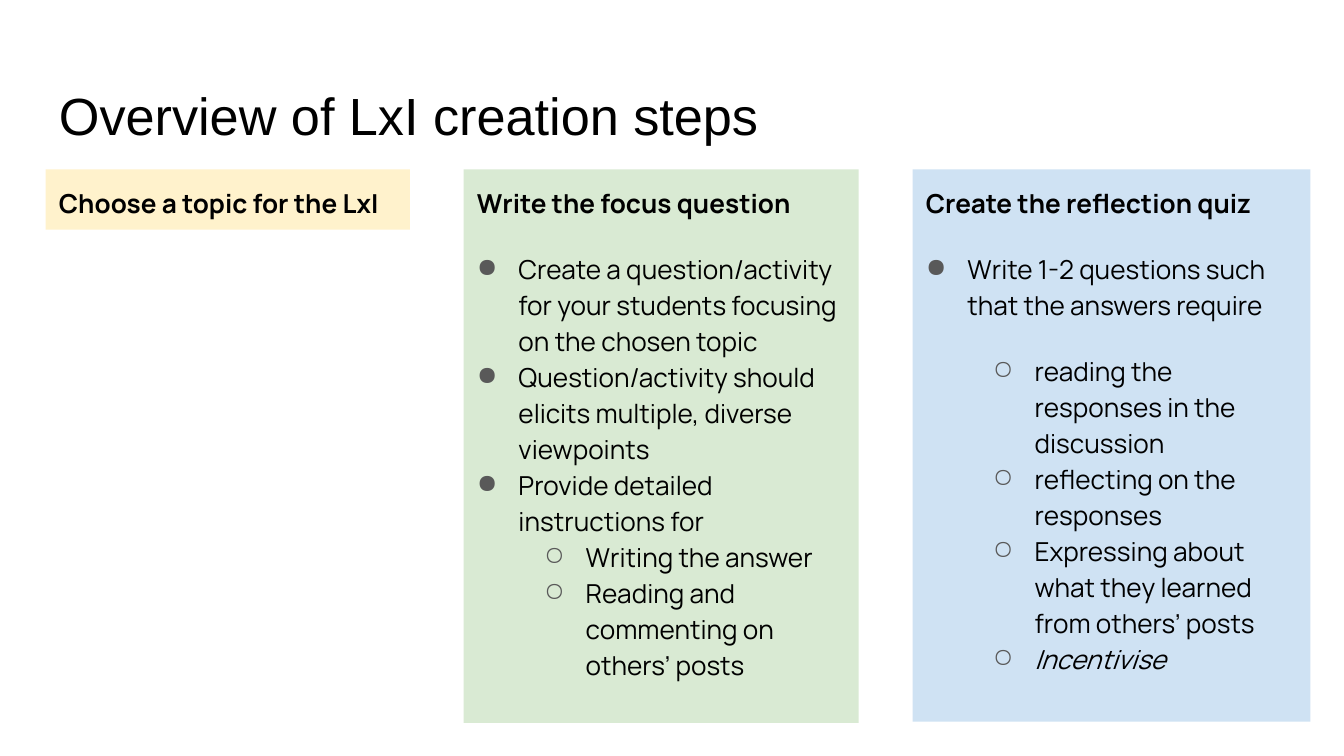
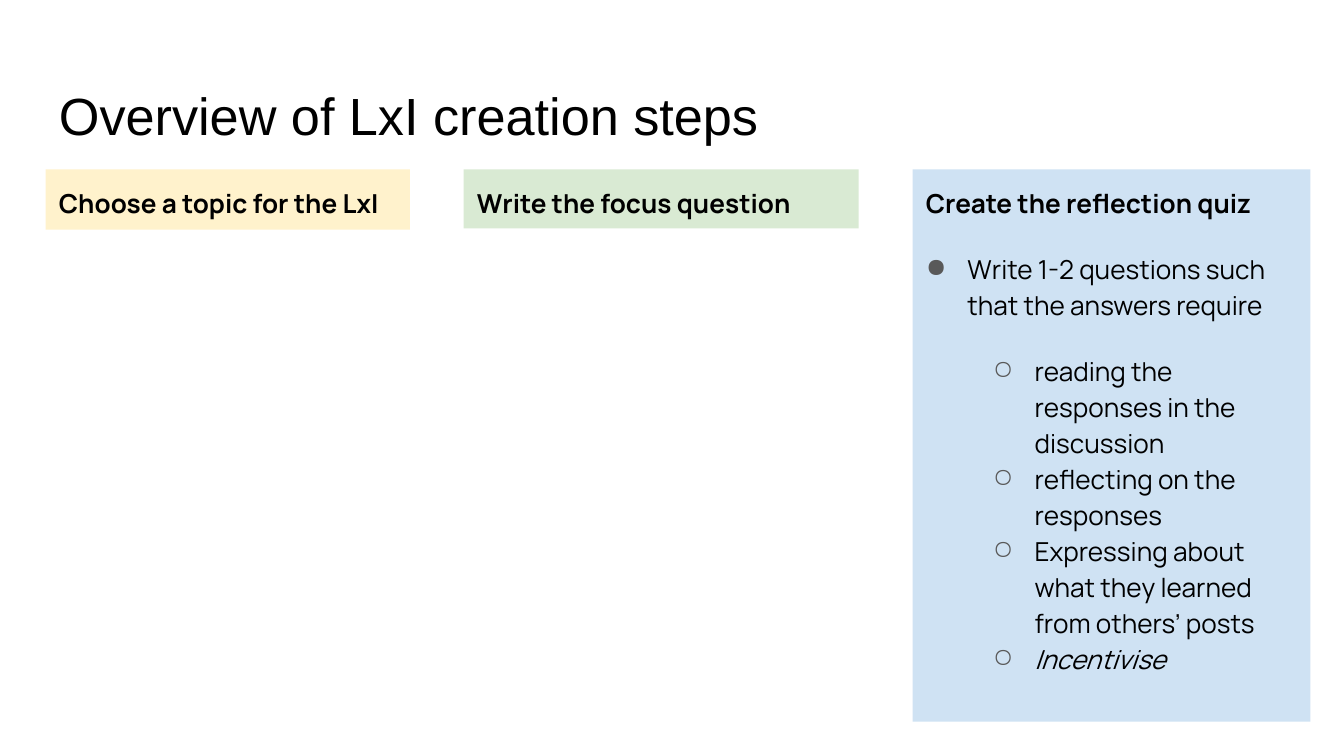
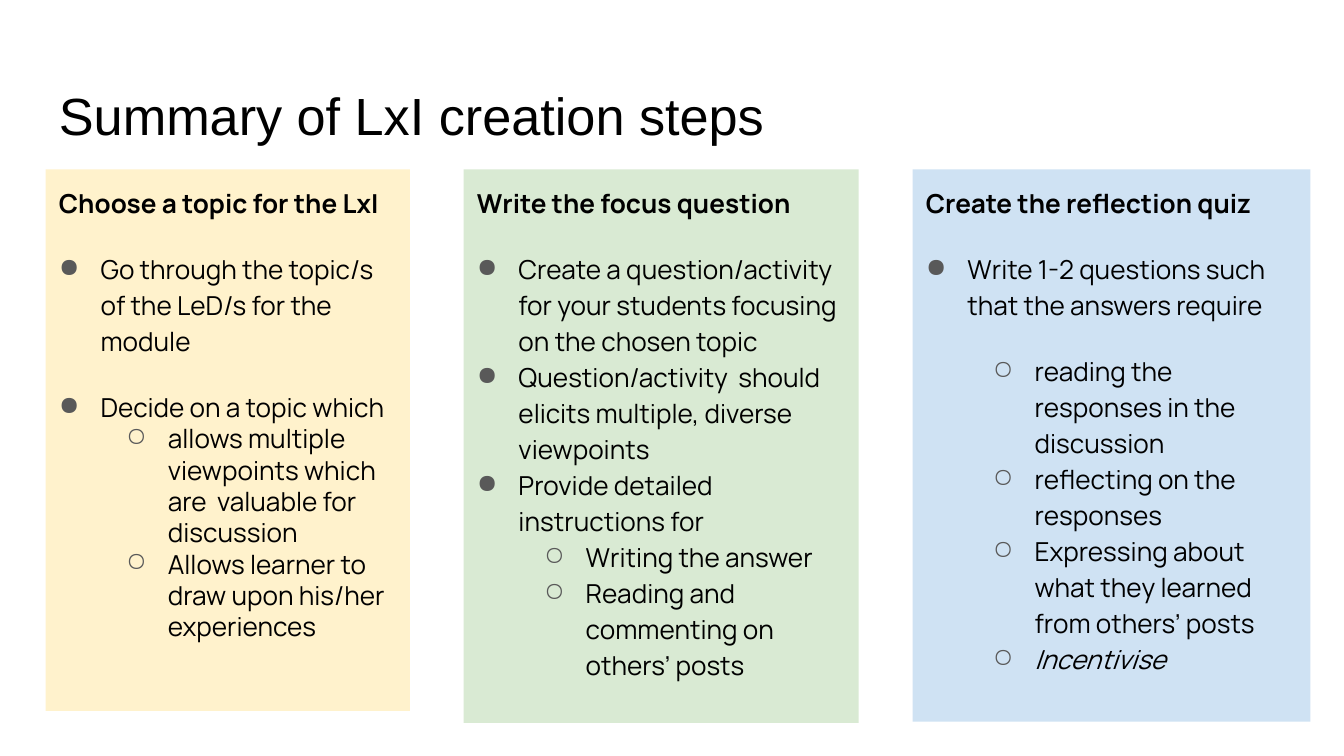
from dataclasses import dataclass

from lxml import etree
from pptx import Presentation
from pptx import util as u
from pptx.dml.color import RGBColor
from pptx.enum import shapes, text
from pptx.oxml import ns

PX = u.Inches(1) // 100
BLACK = RGBColor(0x00, 0x00, 0x00)
GREY = RGBColor(0x59, 0x59, 0x59)
YELLOW = RGBColor(0xFF, 0xF2, 0xCC)
GREEN = RGBColor(0xD9, 0xEA, 0xD3)
BLUE = RGBColor(0xCF, 0xE2, 0xF3)

LEFT, CARD_TOP, GAP = 34, 126, 40
BULLETS = "●○"
INDENTS = (31, 81)
HANGING = 31


@dataclass
class Point:
    text: str
    level: int = 0
    before: int = 0
    spacing: float = 1.15
    italic: bool = False


@dataclass
class Step:
    heading: str
    fill: RGBColor
    width: int
    closed_height: int
    open_height: int
    points: list


TOPIC = Step("Choose a topic for the LxI", YELLOW, 271, 45, 403, [
    Point("Go through the topic/s of the LeD/s for the module", before=16),
    Point("Decide on a topic which", before=16),
    Point("allows multiple viewpoints which are  valuable for discussion", 1, spacing=1.0),
    Point("Allows learner to draw upon his/her experiences", 1, spacing=1.0),
])


def focus_step(viewpoints):
    return Step("Write the focus question", GREEN, 294, 44, 412, [
        Point("Create a question/activity for your students focusing on the chosen topic",
              before=16),
        Point(viewpoints),
        Point("Provide detailed instructions for"),
        Point("Writing the answer", 1),
        Point("Reading and commenting on others’ posts", 1),
    ])


FOCUS = focus_step("Question/activity should elicits multiple, diverse viewpoints")
FOCUS_SUMMARY = focus_step("Question/activity  should elicits multiple, diverse viewpoints")

QUIZ = Step("Create the reflection quiz", BLUE, 296, 45, 411, [
    Point("Write 1-2 questions such that the answers require", before=16),
    Point("reading the responses in the discussion", 1, before=16),
    Point("reflecting on the responses", 1),
    Point("Expressing about what they learned from others’ posts", 1),
    Point("Incentivise", 1, italic=True),
])


def write(p, content, font="Manrope", size=14, bold=False, italic=False,
          spacing=1.15, before=0, after=0):
    p.alignment = text.PP_ALIGN.LEFT
    p.line_spacing = spacing
    p.space_before = u.Pt(before)
    p.space_after = u.Pt(after)
    r = p.add_run()
    r.text = content
    r.font.name = font
    r.font.size = u.Pt(size)
    r.font.bold = bold
    r.font.italic = italic
    r.font.color.rgb = BLACK


def add_bullet(p, level):
    p.level = level
    pPr = p._p.get_or_add_pPr()
    pPr.set("marL", str(INDENTS[level] * PX))
    pPr.set("indent", str(-HANGING * PX))
    color = etree.SubElement(pPr, ns.qn("a:buClr"))
    etree.SubElement(color, ns.qn("a:srgbClr"), val=str(GREY))
    etree.SubElement(pPr, ns.qn("a:buChar"), char=BULLETS[level])


class Deck:
    def __init__(self):
        self.prs = Presentation()
        self.prs.slide_width = 1000 * PX
        self.prs.slide_height = u.Inches(5.625)
        self.s = None

    def frame(self, sp, top=10, bottom=10):
        tf = sp.text_frame
        tf.word_wrap = True
        tf.auto_size = text.MSO_AUTO_SIZE.NONE
        tf.vertical_anchor = text.MSO_ANCHOR.TOP
        tf.margin_left = tf.margin_right = 10 * PX
        tf.margin_top, tf.margin_bottom = top * PX, bottom * PX
        return tf

    def title(self, content):
        sp = self.s.shapes.add_textbox(LEFT * PX, 49 * PX, 932 * PX, 63 * PX)
        tf = self.frame(sp, top=13, bottom=5)
        write(tf.paragraphs[0], content, font="Arial", size=28, spacing=1.0)

    def card(self, step, left, is_open):
        height = step.open_height if is_open else step.closed_height
        sp = self.s.shapes.add_shape(shapes.MSO_SHAPE.RECTANGLE, left * PX, CARD_TOP * PX,
                                     step.width * PX, height * PX)
        sp.shadow.inherit = False
        sp.fill.solid()
        sp.fill.fore_color.rgb = step.fill
        sp.line.fill.background()
        tf = self.frame(sp)
        write(tf.paragraphs[0], step.heading, bold=True, after=0 if is_open else 16)
        if is_open:
            for point in step.points:
                p = tf.add_paragraph()
                write(p, point.text, italic=point.italic, spacing=point.spacing,
                      before=point.before)
                add_bullet(p, point.level)

    def slide(self, title, steps, opened):
        self.s = self.prs.slides.add_slide(self.prs.slide_layouts[6])
        self.title(title)
        left = LEFT
        for step in steps:
            self.card(step, left, step in opened)
            left += step.width + GAP


def main():
    deck = Deck()
    steps = [TOPIC, FOCUS, QUIZ]
    summary = [TOPIC, FOCUS_SUMMARY, QUIZ]
    deck.slide("Overview of LxI creation steps", steps, [FOCUS, QUIZ])
    deck.slide("Overview of LxI creation steps", steps, [QUIZ])
    deck.slide("Summary of LxI creation steps", summary, summary)
    deck.prs.save("out.pptx")


if __name__ == "__main__":
    main()
